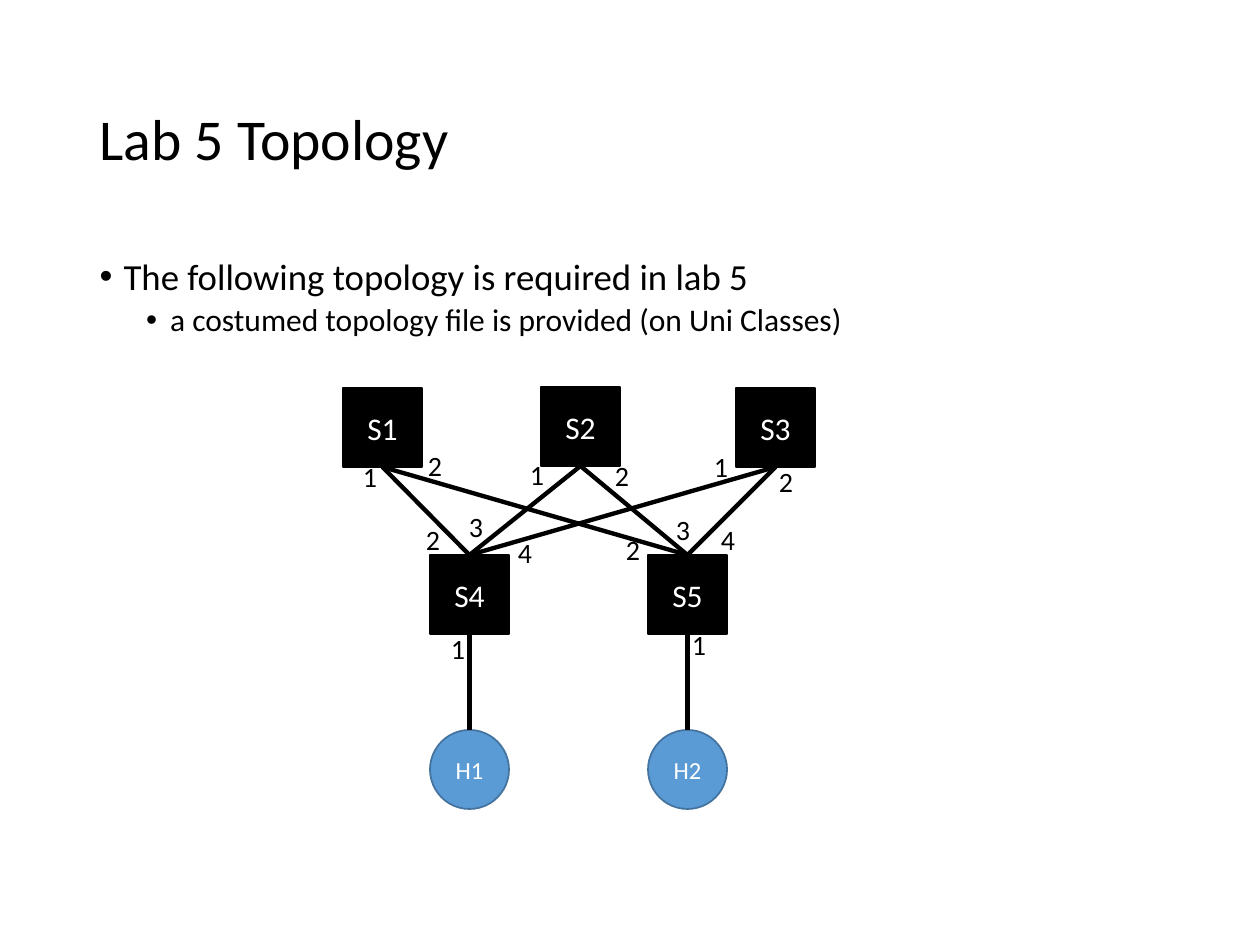
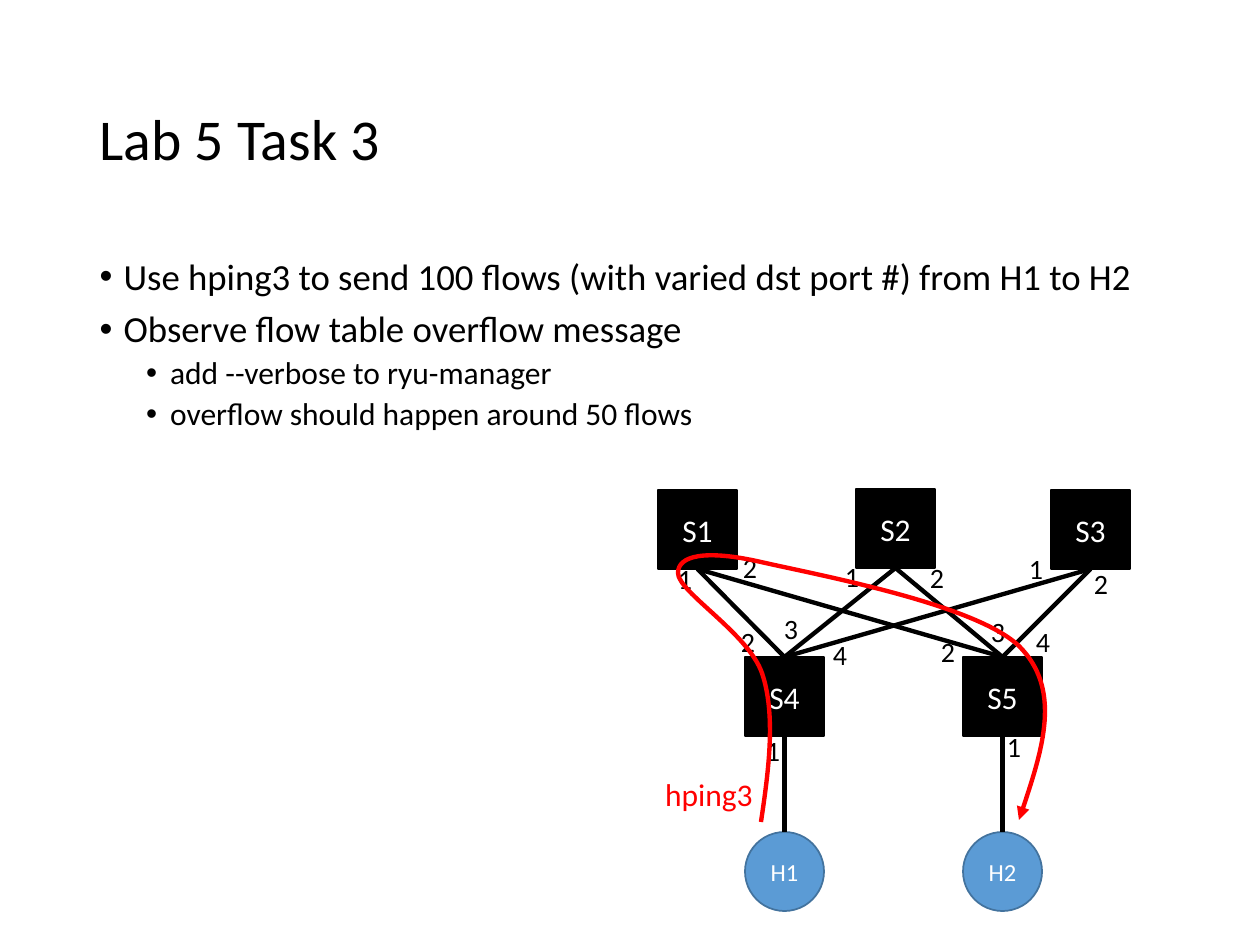
from lxml.etree import SubElement
from pptx import Presentation
from pptx.dml.color import RGBColor
from pptx.enum.shapes import MSO_CONNECTOR, MSO_SHAPE
from pptx.enum.text import MSO_ANCHOR, MSO_AUTO_SIZE, PP_ALIGN
from pptx.oxml.ns import qn
from pptx.util import Inches, Pt

SCALE = Inches(1) / 126
BLACK = RGBColor(0x00, 0x00, 0x00)
WHITE = RGBColor(0xFF, 0xFF, 0xFF)
BLUE = RGBColor(0x5B, 0x9B, 0xD5)
NAVY = RGBColor(0x43, 0x73, 0x9E)
RED = RGBColor(0xFF, 0x00, 0x00)
FONT = "Calibri"
SIDE = 79

LEVELS = [(0.19, 21, 7.5), (0.56, 18, 3.8)]
NODES = {
    "S1": (0, 1), "S2": (198, 0), "S3": (393, 1),
    "S4": (87, 168), "S5": (305, 168),
    "H1": (87, 343), "H2": (305, 343),
}
LINKS = [(top, low) for top in ("S1", "S2", "S3") for low in ("S4", "S5")]
LINKS += [("S4", "H1"), ("S5", "H2")]
PORTS = {
    "S1": [("1", 5, 75), ("2", 70, 64)],
    "S2": [("1", 172, 73), ("2", 257, 74)],
    "S3": [("1", 356, 65), ("2", 421, 80)],
    "S4": [("1", 93, 247), ("2", 68, 138), ("3", 111, 125), ("4", 160, 151)],
    "S5": [("1", 334, 243), ("2", 268, 148), ("3", 318, 128), ("4", 363, 138)],
}
ROUTE = [
    (761, 822),
    (769, 769), (776, 714), (762, 673),
    (748, 633), (678, 592), (678, 573),
    (678, 556), (704, 549), (761, 562),
    (818, 575), (975, 604), (1019, 646),
    (1062, 689), (1041, 755), (1019, 820),
]


def px(*sizes):
    return [round(size * SCALE) for size in sizes]


def style(para, size, color):
    para.font.name = FONT
    para.font.size = Pt(size)
    para.font.color.rgb = color


def place(shape, left, top, width, height):
    shape.left, shape.top, shape.width, shape.height = px(left, top, width, height)
    shape.text_frame.auto_size = MSO_AUTO_SIZE.NONE


def center(shape, text, size, color):
    frame = shape.text_frame
    frame.word_wrap = True
    frame.vertical_anchor = MSO_ANCHOR.MIDDLE
    frame.margin_left = frame.margin_right = 0
    frame.margin_top = frame.margin_bottom = 0
    para = frame.paragraphs[0]
    para.text = text
    para.alignment = PP_ALIGN.CENTER
    style(para, size, color)


def add_label(shapes, text, box, size, color):
    center(shapes.add_textbox(*px(*box)), text, size, color)


def add_page(deck, title, items):
    slide = deck.slides.add_slide(deck.slide_layouts[1])
    head, body = slide.placeholders
    place(head, 87, 50, 1086, 183)
    head.text_frame.vertical_anchor = MSO_ANCHOR.MIDDLE
    para = head.text_frame.paragraphs[0]
    para.text = title
    para.alignment = PP_ALIGN.LEFT
    para.line_spacing = 0.9
    style(para, 33, BLACK)
    place(body, 87, 252, 1086, 600)
    body.text_frame.text = "\n".join(text for level, text in items)
    for para, (level, text) in zip(body.text_frame.paragraphs, items):
        add_bullet(para, level)
    return slide


def add_bullet(para, level):
    indent, size, gap = LEVELS[level]
    para.level = level
    para.line_spacing = 0.9
    para.space_before = Pt(gap)
    props = para._p.get_or_add_pPr()
    props.set("marL", str(Inches(indent)))
    props.set("indent", str(-Inches(0.19)))
    SubElement(props, qn("a:buFont"), typeface="Arial")
    SubElement(props, qn("a:buChar"), char="•")
    style(para, size, BLACK)


def add_node(shapes, name, left, top):
    host = name.startswith("H")
    kind = MSO_SHAPE.OVAL if host else MSO_SHAPE.RECTANGLE
    node = shapes.add_shape(kind, *px(left, top, SIDE, SIDE))
    node.shadow.inherit = False
    node.fill.solid()
    node.fill.fore_color.rgb = BLUE if host else BLACK
    node.line.color.rgb = NAVY if host else BLACK
    node.line.width = Pt(1)
    center(node, name, 14 if host else 18, WHITE)
    return node


def add_link(shapes, upper, lower):
    link = shapes.add_connector(MSO_CONNECTOR.STRAIGHT, 0, 0, 0, 0)
    link.begin_connect(upper, 2)
    link.end_connect(lower, 0)
    link.line.color.rgb = BLACK
    link.line.width = Pt(2.5)
    SubElement(link._element.spPr, qn("a:effectLst"))


def add_graph(slide, left, top):
    shapes = slide.shapes.add_group_shape().shapes
    nodes = {name: add_node(shapes, name, left + x, top + y)
             for name, (x, y) in NODES.items()}
    for upper, lower in LINKS:
        add_link(shapes, nodes[upper], nodes[lower])
    for ports in PORTS.values():
        for text, x, y in ports:
            add_label(shapes, text, (left + x, top + y, 44, 29), 16, BLACK)


def add_route(slide, points, width):
    pen = slide.shapes.build_freeform(*points[0], scale=SCALE)
    pen.add_line_segments(points[1:], close=False)
    route = pen.convert_to_shape()
    route.shadow.inherit = False
    route.fill.background()
    route.line.color.rgb = RED
    route.line.width = Pt(2.5)
    SubElement(route.line._get_or_add_ln(), qn("a:tailEnd"), type="triangle")
    track = next(route._element.iter(qn("a:path")))
    steps = track.findall(qn("a:lnTo"))
    for first in range(0, len(steps), 3):
        curve = SubElement(track, qn("a:cubicBezTo"))
        for step in steps[first:first + 3]:
            curve.append(step[0])
            track.remove(step)
    route.width, = px(width)
    track.set("w", str(width))


def main():
    deck = Presentation()
    deck.slide_width, deck.slide_height = px(1260, 945)

    slide = add_page(deck, "Lab 5 Topology", [
        (0, "The following topology is required in lab 5"),
        (1, "a costumed topology file is provided (on Uni Classes)"),
    ])
    add_graph(slide, 343, 387)

    slide = add_page(deck, "Lab 5 Task 3", [
        (0, "Use hping3 to send 100 flows (with varied dst port #) from H1 to H2"),
        (0, "Observe flow table overflow message"),
        (1, "add --verbose to ryu-manager"),
        (1, "overflow should happen around 50 flows"),
    ])
    add_label(slide.shapes, "hping3", (636, 761, 146, 66), 18, RED)
    add_graph(slide, 658, 489)
    add_route(slide, ROUTE, 365)

    deck.save("out.pptx")


main()
